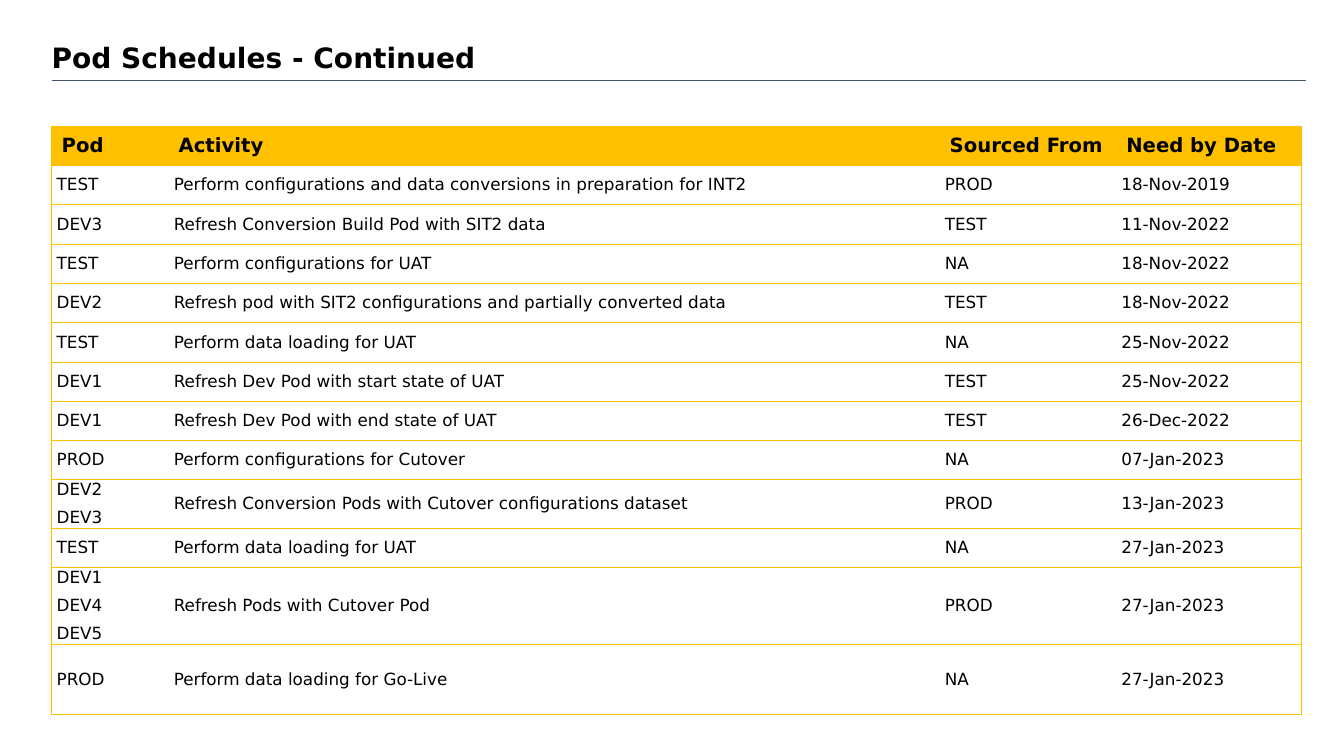
from lxml.etree import SubElement
from pptx import Presentation
from pptx.dml.color import RGBColor
from pptx.enum.shapes import MSO_CONNECTOR as Connector
from pptx.enum.text import MSO_ANCHOR as Anchor, MSO_AUTO_SIZE as AutoSize, PP_ALIGN as Align
from pptx.oxml.ns import qn
from pptx.util import Cm, Pt

FONT = "DejaVu Sans"
BLACK = RGBColor(0x00, 0x00, 0x00)
GOLD = RGBColor(0xFF, 0xC0, 0x00)
SLATE = RGBColor(0x44, 0x54, 0x6A)
PLAIN_TABLE_STYLE = "{2D5ABB26-0587-4C30-8999-92F81FD0307C}"

LEFT = Cm(1.3)
COLUMN_WIDTHS = [2.95, 19.43, 4.45, 4.67]
ROW_HEIGHT = 0.99
TALL_ROWS = {9: 1.22, 11: 1.93, 12: 1.78}

HEADINGS = ["Pod", "Activity", "Sourced From", "Need by Date"]
SCHEDULE = [
    ["TEST", "Perform configurations and data conversions in preparation for INT2", "PROD", "18-Nov-2019"],
    ["DEV3", "Refresh Conversion Build Pod with SIT2 data", "TEST", "11-Nov-2022"],
    ["TEST", "Perform configurations for UAT", "NA", "18-Nov-2022"],
    ["DEV2", "Refresh pod with SIT2 configurations and partially converted data", "TEST", "18-Nov-2022"],
    ["TEST", "Perform data loading for UAT", "NA", "25-Nov-2022"],
    ["DEV1", "Refresh Dev Pod with start state of UAT", "TEST", "25-Nov-2022"],
    ["DEV1", "Refresh Dev Pod with end state of UAT", "TEST", "26-Dec-2022"],
    ["PROD", "Perform configurations for Cutover", "NA", "07-Jan-2023"],
    ["DEV2\nDEV3", "Refresh Conversion Pods with Cutover configurations dataset", "PROD", "13-Jan-2023"],
    ["TEST", "Perform data loading for UAT", "NA", "27-Jan-2023"],
    ["DEV1\nDEV4\nDEV5", "Refresh Pods with Cutover Pod", "PROD", "27-Jan-2023"],
    ["PROD", "Perform data loading for Go-Live", "NA", "27-Jan-2023"],
]


def format_font(para, size, bold):
    for span in para.runs:
        span.font.name = FONT
        span.font.size = Pt(size)
        span.font.bold = bold
        span.font.color.rgb = BLACK


def add_title(page, text):
    title = page.shapes.title
    title.left, title.top, title.width, title.height = LEFT, Cm(1.12), Cm(31.27), Cm(0.94)
    frame = title.text_frame
    frame.text = text
    frame.word_wrap = True
    frame.auto_size = AutoSize.NONE
    frame.vertical_anchor = Anchor.TOP
    frame.margin_left = frame.margin_right = frame.margin_top = frame.margin_bottom = 0
    para = frame.paragraphs[0]
    para.alignment = Align.LEFT
    para.line_spacing = 0.9
    format_font(para, 20, True)


def add_rule(page):
    rule = page.shapes.add_connector(Connector.STRAIGHT, LEFT, Cm(2.02), Cm(32.92), Cm(2.02))
    rule.line.color.rgb = SLATE
    rule.line.width = Pt(0.5)
    SubElement(rule._element.spPr, qn("a:effectLst"))


def add_borders(cell, sides):
    properties = cell._tc.get_or_add_tcPr()
    for side in sides:
        border = SubElement(properties, qn(f"a:ln{side}"), w=str(Pt(0.5)))
        fill = SubElement(border, qn("a:solidFill"))
        SubElement(fill, qn("a:srgbClr"), val=str(GOLD))


def fill_cell(cell, text, is_heading, sides):
    add_borders(cell, sides)
    cell.vertical_anchor = Anchor.MIDDLE
    cell.text_frame.text = text
    if is_heading:
        cell.fill.solid()
        cell.fill.fore_color.rgb = GOLD
    else:
        cell.fill.background()
        cell.margin_left = cell.margin_right = Cm(0.13)
        cell.margin_top = cell.margin_bottom = 0
    for index, para in enumerate(cell.text_frame.paragraphs):
        if not is_heading:
            para.space_before = Pt(3 if index else 0)
            para.space_after = Pt(3)
        format_font(para, 14 if is_heading else 12, is_heading)


def add_schedule(page):
    rows = [HEADINGS] + SCHEDULE
    heights = [TALL_ROWS.get(index, ROW_HEIGHT) for index in range(len(rows))]
    frame = page.shapes.add_table(len(rows), len(HEADINGS), LEFT, Cm(3.18),
                                  Cm(sum(COLUMN_WIDTHS)), Cm(sum(heights)))
    table = frame.table
    table.horz_banding = False
    table._tbl.tblPr.find(qn("a:tableStyleId")).text = PLAIN_TABLE_STYLE
    for column, width in zip(table.columns, COLUMN_WIDTHS):
        column.width = Cm(width)
    last_column = len(HEADINGS) - 1
    for row_index, (row, height) in enumerate(zip(rows, heights)):
        table.rows[row_index].height = Cm(height)
        for column_index, text in enumerate(row):
            sides = "L" * (column_index == 0) + "R" * (column_index == last_column) + "TB"
            fill_cell(table.cell(row_index, column_index), text, row_index == 0, sides)


def main():
    deck = Presentation()
    deck.slide_width, deck.slide_height = Cm(33.87), Cm(19.05)
    page = deck.slides.add_slide(deck.slide_layouts[5])
    add_title(page, "Pod Schedules - Continued")
    add_rule(page)
    add_schedule(page)
    deck.save("out.pptx")


if __name__ == "__main__":
    main()
